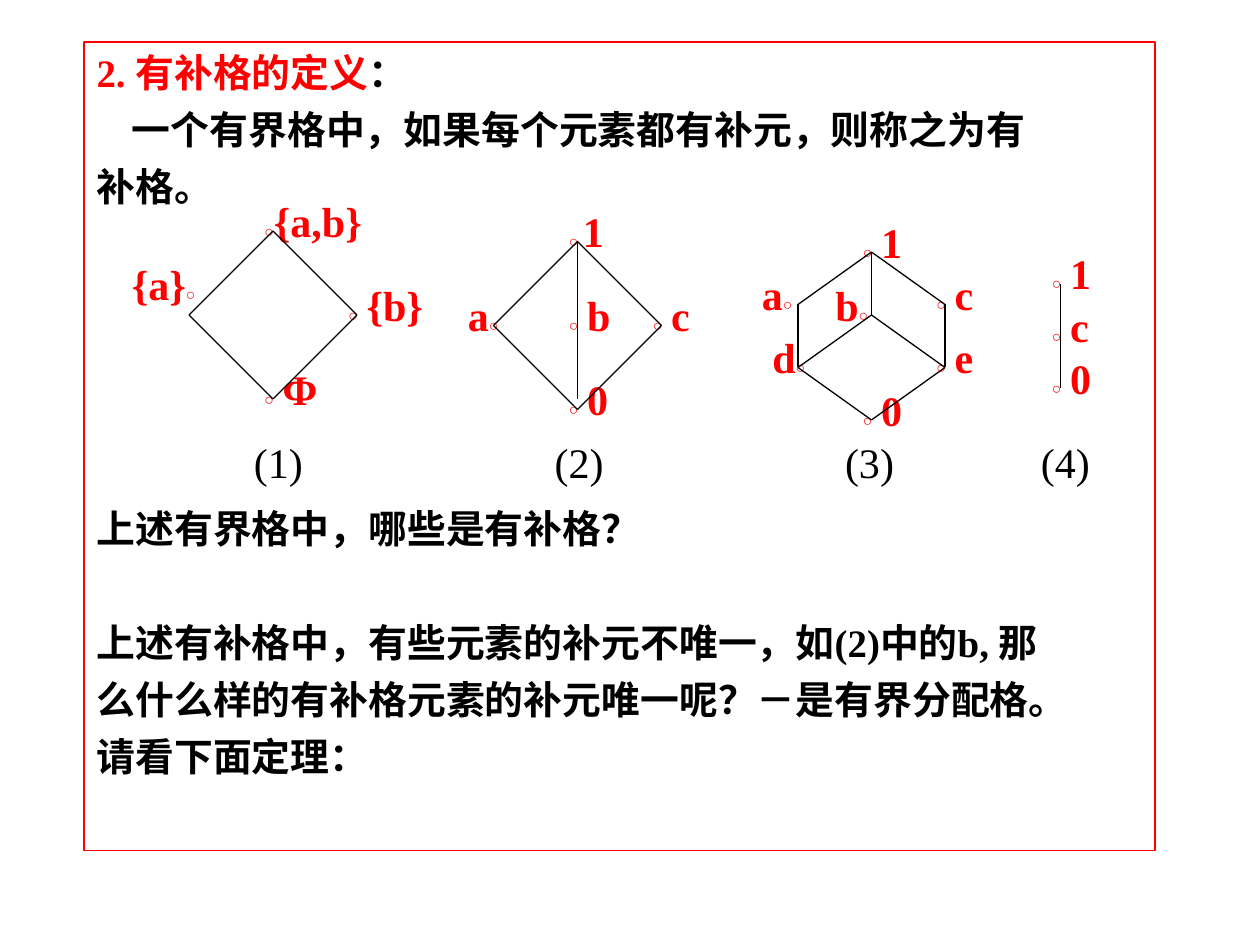
import pptx
import pptx.util
import pptx.dml.color
import pptx.enum.shapes
import pptx.enum.text
import pptx.oxml.ns
from lxml import etree
from pptx.util import Cm, Pt

SERIF, SANS = "Times New Roman", "Arial"
RED, BLACK = "FF0000", "000000"
GRID = 2.54 / 12  # centimetres in one drawing unit
LINE, GAP = 26.6, 6  # points: line height and space between lines

# Body lines: blank rows above, first-line indent in cm, (text, colour) spans
BODY = [
    (0, 0, [("2. 有补格的定义", RED), ("：", BLACK)]),
    (0, 0.71, [("一个有界格中，如果每个元素都有补元，则称之为有", BLACK)]),
    (0, 0, [("补格。", BLACK)]),
    (5, 0, [("上述有界格中，哪些是有补格？", BLACK)]),
    (1, 0, [("上述有补格中，有些元素的补元不唯一，如(2)中的b, 那", BLACK)]),
    (0, 0, [("么什么样的有补格元素的补元唯一呢？－是有界分配格。", BLACK)]),
    (0, 0, [("请看下面定理：", BLACK)]),
]

# Ring styles: ring text and letter spacing in points; AFTER follows the label
WIDE, NARROW, TIGHT, AFTER = ("○ ", 1.25), ("○ ", 0), ("○", 0), None

# Lattices in grid units. Labels: text, ring style, left, top, width
LATTICES = [
    {"labels": [("Φ", WIDE, 24, 34, 9), ("{a,b}", TIGHT, 24, 18, 13),
                ("{a}", AFTER, 11, 24, 9), ("{b}", WIDE, 32, 26, 11)],
     "paths": [[(26, 22), (34, 30), (26, 38), (18, 30), (26, 22)]]},
    {"labels": [("b", WIDE, 53, 27, 7), ("0", WIDE, 53, 35, 9),
                ("1", NARROW, 53, 19, 9), ("a", AFTER, 43, 27, 9),
                ("c", WIDE, 61, 27, 9)],
     "paths": [[(55, 23), (63, 31), (55, 39), (47, 31), (55, 23)],
               [(55, 23), (55, 38)]]},
    {"labels": [("e", WIDE, 88, 31, 7), ("0", WIDE, 81, 36, 7),
                ("1", WIDE, 81, 20, 7), ("b", AFTER, 78, 26, 7),
                ("c", WIDE, 88, 25, 7), ("d", AFTER, 72, 31, 7),
                ("a", AFTER, 71, 25, 7)],
     "paths": [[(83, 24), (90, 29), (90, 35), (83, 40), (76, 35), (76, 29), (83, 24)],
               [(83, 24), (83, 30), (90, 35)], [(83, 30), (76, 35)]]},
    {"labels": [("1", WIDE, 99, 23, 7), ("c", WIDE, 99, 28, 7),
                ("0", WIDE, 99, 33, 7)],
     "paths": [[(101, 27), (101, 37)]]},
]

# Captions: text, left in grid units
CAPTIONS = [("(1)", 23), ("(2)", 51.65), ("(3)", 79.3), ("(4)", 97.95)]


def colour(value):
    return pptx.dml.color.RGBColor.from_string(value)


def units(*values):
    return [Cm(value * GRID) for value in values]


def set_indent(para, indent):
    """First-line indent in cm, without a bullet."""
    properties = para._p.get_or_add_pPr()
    properties.set("marL", "0")
    properties.set("indent", str(Cm(indent)))
    etree.SubElement(properties, pptx.oxml.ns.qn("a:buNone"))


def add_span(para, text, size, shade, font=SERIF, bold=True, spacing=0):
    span = para.add_run()
    span.text = text
    span.font.size = Pt(size)
    span.font.name = font
    span.font.bold = bold
    span.font.color.rgb = colour(shade)
    if spacing:
        span._r.get_or_add_rPr().set("spc", str(round(spacing * 100)))


def add_box(parent, left, top, width, height):
    box = parent.shapes.add_textbox(*units(left, top, width, height))
    box.text_frame.word_wrap = True
    box.text_frame.auto_size = pptx.enum.text.MSO_AUTO_SIZE.SHAPE_TO_FIT_TEXT
    return box.text_frame.paragraphs[0]


def add_label(group, text, style, left, top, width):
    para = add_box(group, left, top, width, 6)
    if style is AFTER:
        set_indent(para, 0.08)
        add_span(para, text, 24, RED)
        add_span(para, "○", 9, RED, SANS)
    else:
        ring, spacing = style
        add_span(para, ring, 9, RED, SANS, spacing=spacing)
        add_span(para, text, 24, RED)


def add_edge(group, start, end):
    edge = group.shapes.add_connector(
        pptx.enum.shapes.MSO_CONNECTOR.STRAIGHT, *units(*start, *end))
    edge.line.color.rgb = colour(BLACK)
    edge.line.width = Pt(0.75)
    etree.SubElement(edge._element.spPr, pptx.oxml.ns.qn("a:effectLst"))


def fill_body(body):
    body.left, body.top, body.width, body.height = units(8, 4, 102, 77)
    body.line.color.rgb = colour(RED)
    body.line.width = Pt(0.75)
    frame = body.text_frame
    frame.auto_size = pptx.enum.text.MSO_AUTO_SIZE.NONE
    frame.vertical_anchor = pptx.enum.text.MSO_ANCHOR.TOP
    for index, (blank_rows, indent, spans) in enumerate(BODY):
        para = frame.add_paragraph() if index else frame.paragraphs[0]
        set_indent(para, indent)
        para.line_spacing = Pt(LINE)
        para.space_before = Pt(GAP + blank_rows * (LINE + GAP) if index else 0)
        for text, shade in spans:
            add_span(para, text, 22.2, shade)


def main():
    deck = pptx.Presentation()
    deck.slide_width, deck.slide_height = Cm(25.4), Cm(19.05)
    page = deck.slides.add_slide(deck.slide_layouts[1])
    title = page.shapes.title._element
    title.getparent().remove(title)

    # Framed definition and questions
    fill_body(page.placeholders[1])

    # Lattice diagrams
    for lattice in LATTICES:
        group = page.shapes.add_group_shape()
        for label in lattice["labels"]:
            add_label(group, *label)
        for corners in lattice["paths"]:
            for start, end in zip(corners, corners[1:]):
                add_edge(group, start, end)

    # Diagram numbers
    for text, left in CAPTIONS:
        para = add_box(page, left, 41, 8, 6)
        add_span(para, text, 24, BLACK, bold=False)

    deck.save("out.pptx")


if __name__ == "__main__":
    main()
